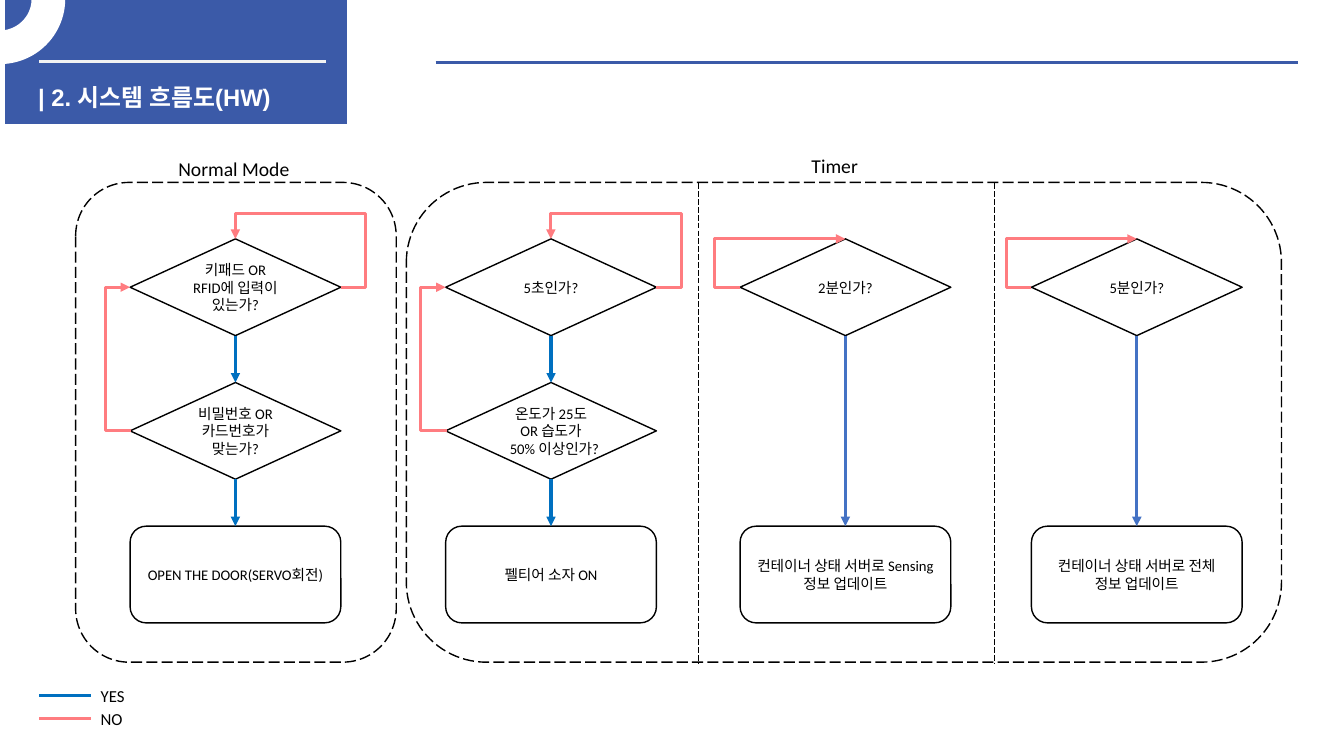
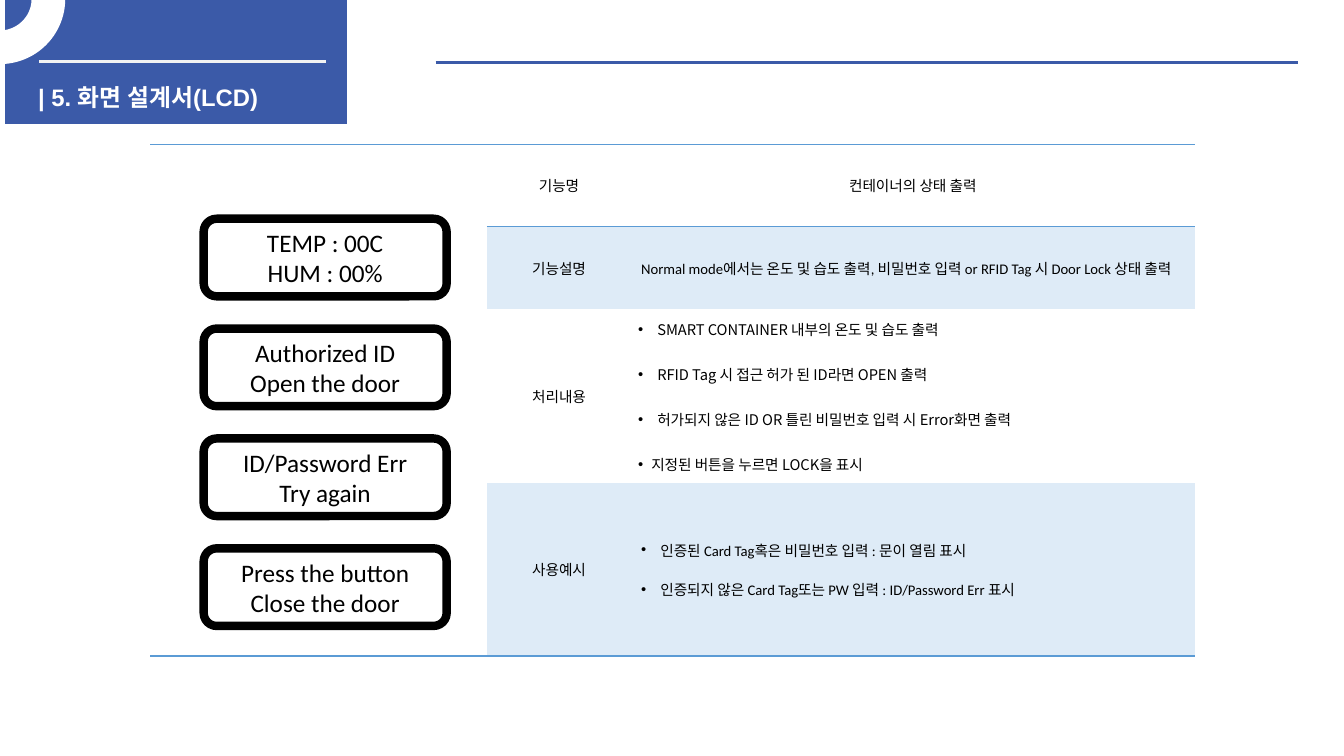
from lxml.etree import SubElement
from pptx import Presentation
from pptx.dml.color import RGBColor
from pptx.enum.dml import MSO_LINE
from pptx.enum.shapes import MSO_CONNECTOR, MSO_SHAPE
from pptx.enum.text import MSO_ANCHOR, PP_ALIGN
from pptx.oxml.ns import qn
from pptx.util import Inches, Pt

NAVY, YES, NO, LONG = "3B5AA8", "0070C0", "FF7C80", "4472C4"
RULE, BAND, BLACK, WHITE = "5B9BD5", "DEEBF7", "000000", "FFFFFF"
TITLE = {"name": "Arial", "size": Pt(17), "bold": True}
SMALL = {"name": "Calibri", "size": Pt(10.5)}
KEY = {"name": "Calibri", "size": Pt(12)}
MODE = {"name": "Calibri", "size": Pt(14)}
LCD = {"name": "Calibri", "size": Pt(18)}
NOTO = {"name": "Noto Sans CJK KR", "size": Pt(10.5)}
hue = RGBColor.from_string


def box(slide, kind, at, text="", font=SMALL, ink=BLACK, fill=WHITE,
        edge=BLACK, width=1.0):
    """Add a shape with centred text, or a text box when kind is None."""
    at = [Inches(n) for n in at]
    if kind is None:
        shape = slide.shapes.add_textbox(*at)
    else:
        shape = slide.shapes.add_shape(kind, *at)
        shape.shadow.inherit = False
        shape.fill.solid()
        shape.fill.fore_color.rgb = hue(fill)
        shape.line.color.rgb = hue(edge)
        shape.line.width = Pt(width)
    frame = shape.text_frame
    frame.word_wrap = True
    if text:
        frame.text = text
    for para in frame.paragraphs:
        para.alignment = PP_ALIGN.CENTER if kind else PP_ALIGN.LEFT
        for run in para.runs:
            run.font.color.rgb = hue(ink)
            for key, val in font.items():
                setattr(run.font, key, val)
    return shape


def wire(slide, ink, ends=(0, 0, 0, 0), width=2.25, dash=None, link=None,
         via=(), nudge=0):
    """Add a line; link joins two shapes by an arrow, via bends it."""
    kind = MSO_CONNECTOR.ELBOW if via else MSO_CONNECTOR.STRAIGHT
    line = slide.shapes.add_connector(kind, *[Inches(n) for n in ends])
    line.line.color.rgb = hue(ink)
    line.line.width = Pt(width)
    if dash:
        line.line.dash_style = dash
    props = line._element.spPr
    if link:
        start, out, end, into = link
        line.begin_connect(start, out)
        line.end_connect(end, into)
        line.begin_x += Inches(nudge)
        SubElement(props.find(qn("a:ln")), qn("a:tailEnd"), type="triangle")
    if via:
        geom = props.find(qn("a:prstGeom"))
        geom.set("prst", f"bentConnector{len(via) + 2}")
        guide = geom.find(qn("a:avLst"))
        if guide is None:
            guide = SubElement(geom, qn("a:avLst"))
        spans = ((line.begin_x, line.end_x), (line.begin_y, line.end_y))
        for num, (stop, (first, last)) in enumerate(zip(via, spans), 1):
            part = round((stop - first) / (last - first) * 100000)
            SubElement(guide, qn("a:gd"), name=f"adj{num}", fmla=f"val {part}")
    SubElement(props, qn("a:effectLst"))


deck = Presentation()
deck.slide_width, deck.slide_height = Inches(13.33), Inches(7.5)

# Shared header
pages = []
for title in ("| 2. 시스템 흐름도(HW)", "| 5. 화면 설계서(LCD)"):
    page = deck.slides.add_slide(deck.slide_layouts[6])
    box(page, MSO_SHAPE.RECTANGLE, (0.05, 0, 3.39, 1.23),
        fill=NAVY).line.fill.background()
    wire(page, "F2F2F2", (0.39, 0.61, 3.23, 0.61))
    wire(page, NAVY, (4.32, 0.62, 12.87, 0.62))
    box(page, None, (0.28, 0.77, 2.83, 0.32), title, TITLE, WHITE)
    ring = box(page, MSO_SHAPE.BLOCK_ARC, (-0.65, -0.65, 1.29, 1.28),
               edge=WHITE)
    for num, val in enumerate((0, 119.05, 0.25)):
        ring.adjustments[num] = val
    pages.append(page)
flow, screen = pages

# Flow chart: mode panels
for left, width in ((0.75, 3.18), (4.03, 8.68)):
    panel = box(flow, MSO_SHAPE.ROUNDED_RECTANGLE, (left, 1.81, width, 4.76))
    panel.line.dash_style = MSO_LINE.LONG_DASH
for left in (6.93, 9.86):
    wire(flow, BLACK, (left, 1.82, left, 6.58), 0.5, MSO_LINE.LONG_DASH)
box(flow, None, (1.67, 1.51, 1.34, 0.34), "Normal Mode", MODE)
box(flow, None, (7.95, 1.48, 0.69, 0.34), "Timer", MODE)

# Flow chart: one column of steps at a time
steps = (
    (1.29, ("키패드 OR RFID에 입력이 있는가?",
            "비밀번호 OR 카드번호가 맞는가?",
            "OPEN THE DOOR(SERVO회전)")),
    (4.42, ("5초인가?", "온도가 25도 OR 습도가 50% 이상인가?",
            "펠티어 소자 ON")),
    (7.34, ("2분인가?", "컨테이너 상태 서버로 Sensing 정보 업데이트")),
    (10.23, ("5분인가?", "컨테이너 상태 서버로 전체 정보 업데이트")),
)
for left, texts in steps:
    nodes = []
    gap = 2.85 / (len(texts) - 1)
    for num, text in enumerate(texts):
        last = num == len(texts) - 1
        kind = MSO_SHAPE.ROUNDED_RECTANGLE if last else MSO_SHAPE.DIAMOND
        nodes.append(box(flow, kind, (left, 2.37 + num * gap, 2.09, 0.96),
                         text))
    deep = len(nodes) == 3
    for start, end in zip(nodes, nodes[1:]):
        wire(flow, YES if deep else LONG, link=(start, 2, end, 0))
    top = nodes[0]
    side = Inches(left - 0.25)
    if deep:
        wire(flow, NO, link=(top, 3, top, 0),
             via=(Inches(left + 2.34), Inches(2.12)))
        wire(flow, NO, link=(nodes[1], 1, top, 1), via=(side,), nudge=0.01)
    else:
        wire(flow, NO, link=(top, 1, top, 0), via=(side,))

# Flow chart: key
for high, text, ink in ((6.9, "YES", YES), (7.13, "NO", NO)):
    wire(flow, ink, (0.39, high, 0.9, high))
    box(flow, None, (0.9, high - 0.15, 0.6, 0.3), text, KEY)

# Screen design: table
rows = (
    ("기능명", ["컨테이너의 상태 출력"]),
    ("기능설명", ["Normal mode에서는 온도 및 습도 출력, 비밀번호 입력 "
              "or RFID Tag 시 Door Lock 상태 출력"]),
    ("처리내용", ["SMART CONTAINER 내부의 온도 및 습도 출력",
              "RFID Tag 시 접근 허가 된 ID라면 OPEN 출력",
              "허가되지 않은 ID OR 틀린 비밀번호 입력 시 Error화면 출력",
              "지정된 버튼을 누르면 LOCK을 표시"]),
    ("사용예시", ["인증된 Card Tag혹은 비밀번호 입력 : 문이 열림 표시",
              "인증되지 않은 Card Tag또는 PW 입력 : ID/Password Err 표시"]),
)
grid = screen.shapes.add_table(4, 3, Inches(1.49), Inches(1.43),
                               Inches(10.36), Inches(5.09)).table
grid.first_row = grid.horz_banding = False
grid._tbl.tblPr.find(qn("a:tableStyleId")).text = (
    "{2D5ABB26-0587-4C30-8999-92F81FD0307C}")
for col, width in zip(grid.columns, (3.34, 1.43, 5.59)):
    col.width = Inches(width)
for row, high in zip(grid.rows, (0.82, 0.82, 1.72, 1.72)):
    row.height = Inches(high)
grid.cell(0, 0).merge(grid.cell(3, 0))

# Screen design: cell text and bands
for num, (name, notes) in enumerate(rows):
    for col, lines in ((1, [name]), (2, notes)):
        cell = grid.cell(num, col)
        cell.vertical_anchor = MSO_ANCHOR.MIDDLE
        cell.text = "\n".join(lines)
        list_row = num == 2 and col == 2
        if list_row:
            cell.margin_left = cell.margin_right = Inches(0.07)
            cell.margin_top = cell.margin_bottom = 0
        for pos, para in enumerate(cell.text_frame.paragraphs):
            if col == 1 or num == 0:
                para.alignment = PP_ALIGN.CENTER
            if list_row:
                para.line_spacing = 1.07
            if len(lines) > 1:
                if pos:
                    para.space_before = Pt(16 if list_row else 13)
                dent = Inches(0.13 if pos == 3 else 0.19)
                props = para._p.get_or_add_pPr()
                props.set("marL", str(dent))
                props.set("indent", str(-dent))
                SubElement(props, qn("a:buFont"), typeface="Arial")
                SubElement(props, qn("a:buChar"), char="•")
            for run in para.runs:
                run.font.color.rgb = hue(BLACK)
                for key, val in (NOTO if list_row else SMALL).items():
                    setattr(run.font, key, val)
        if num % 2:
            cell.fill.solid()
            cell.fill.fore_color.rgb = hue(BAND)

# Screen design: table rules
for num, col, sides in ((0, 0, "TB"), (0, 1, "TB"), (0, 2, "TB"),
                        (3, 0, "B"), (3, 1, "B"), (3, 2, "B")):
    props = grid.cell(num, col)._tc.get_or_add_tcPr()
    for pos, side in enumerate(sides):
        edge = SubElement(props, qn(f"a:ln{side}"), w=str(Pt(1)))
        SubElement(SubElement(edge, qn("a:solidFill")), qn("a:srgbClr"),
                   val=RULE)
        props.insert(pos, edge)

# Screen design: display messages
shows = ("TEMP : 00C\nHUM : 00%", "Authorized ID\nOpen the door",
         "ID/Password Err\nTry again", "Press the button\nClose the door")
for num, text in enumerate(shows):
    box(screen, MSO_SHAPE.ROUNDED_RECTANGLE,
        (2.02, 2.17 + num * 1.09, 2.41, 0.77), text, LCD, width=6)

deck.save("out.pptx")
